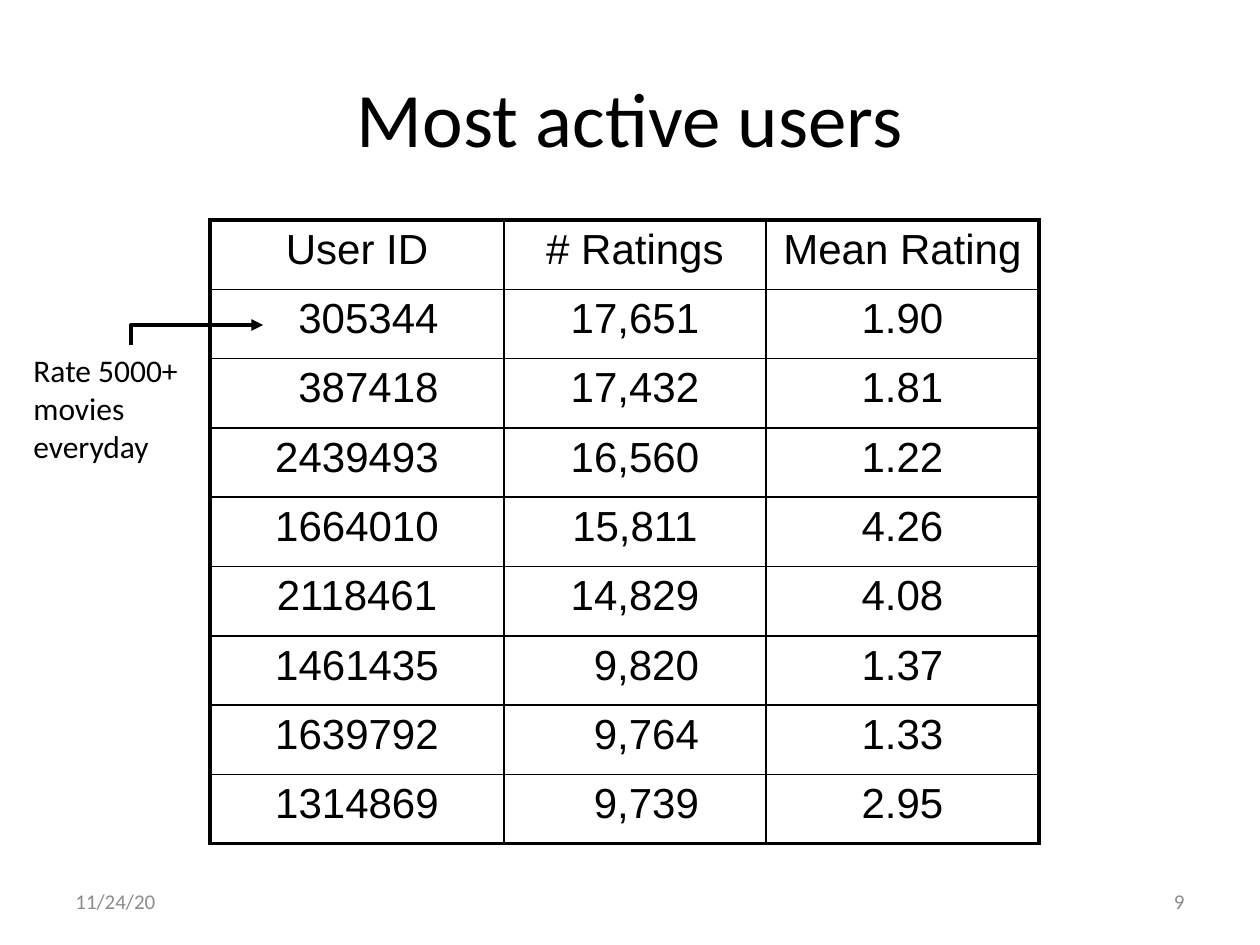
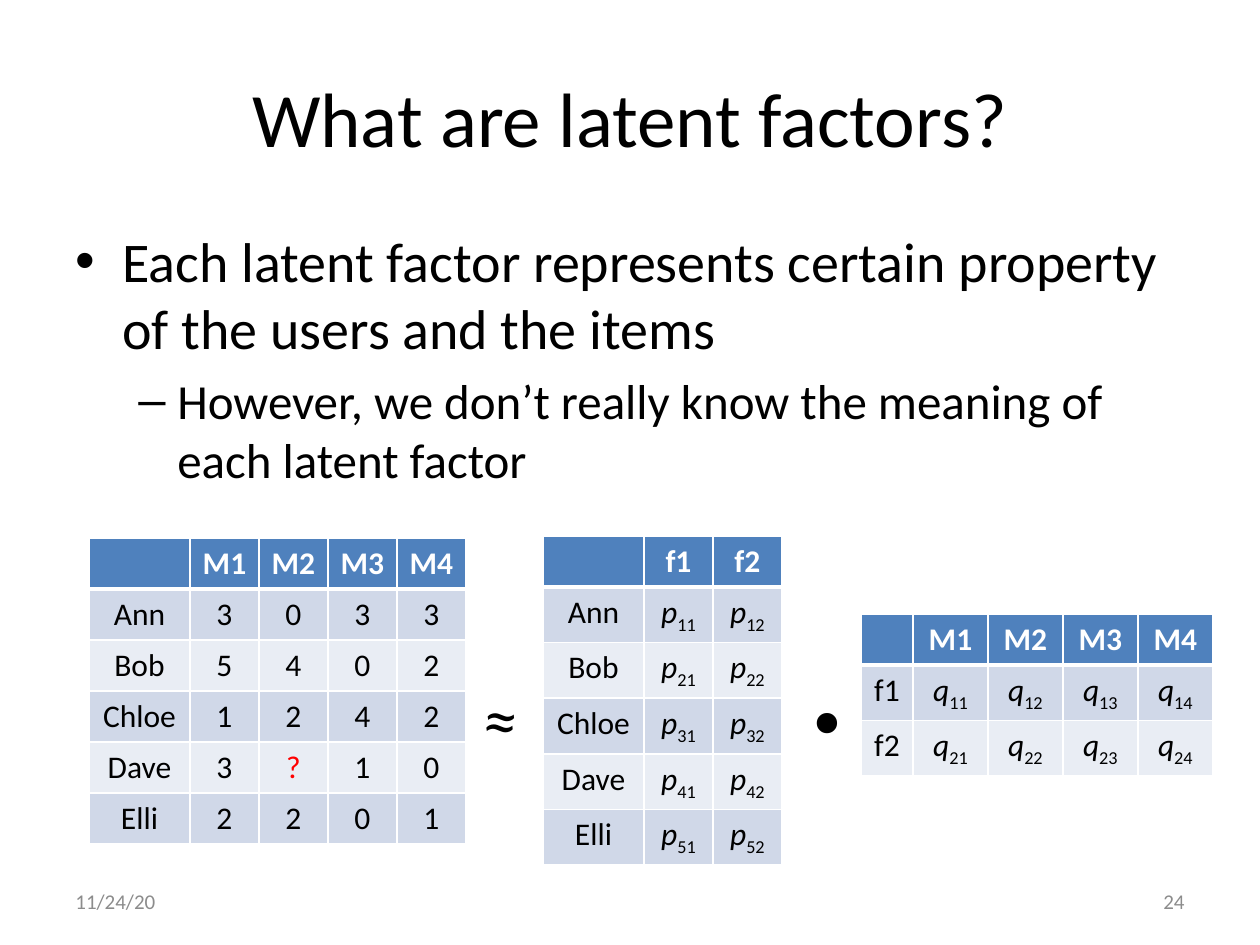
"""Build two slides on rating data: the most active users and latent factors."""
import pptx
import pptx.dml.color
import pptx.enum.shapes
import pptx.enum.text
import pptx.oxml
import pptx.oxml.ns
import pptx.util

EMU_PER_PX = 914400 / 126
COLORS = {"black": "000000", "white": "FFFFFF", "grey": "8C8C8C", "red": "FF0000",
          "header": "4F81BD", "odd": "D0D8E8", "even": "E9EDF4"}
ALIGN = pptx.enum.text.PP_ALIGN
ANCHOR = pptx.enum.text.MSO_ANCHOR
DATE = "11/24/20"
DIGIT_PX = 23

ACTIVE_USERS = [
    ("User ID", "# Ratings", "Mean Rating"),
    ("305344", "17,651", "1.90"),
    ("387418", "17,432", "1.81"),
    ("2439493", "16,560", "1.22"),
    ("1664010", "15,811", "4.26"),
    ("2118461", "14,829", "4.08"),
    ("1461435", "9,820", "1.37"),
    ("1639792", "9,764", "1.33"),
    ("1314869", "9,739", "2.95"),
]
RATINGS = {"Ann": "3033", "Bob": "5402", "Chloe": "1242", "Dave": "3?10", "Elli": "2201"}
MOVIES = ["M1", "M2", "M3", "M4"]
FACTORS = ["f1", "f2"]
BULLETS = [
    (0, "•", "Each latent factor represents certain property of the users and the items", 32, 47, 47),
    (1, "–", "However, we don’t really know the meaning of each latent factor", 28, 102, 39),
]


def symbols(letter, row, count):
    return [f"{letter}_{row}{column}" for column in range(1, count + 1)]


RATING_ROWS = [["", *MOVIES]] + [[user, *scores] for user, scores in RATINGS.items()]
USER_ROWS = [["", *FACTORS]] + [[user, *symbols("p", row, len(FACTORS))]
                                for row, user in enumerate(RATINGS, 1)]
ITEM_ROWS = [["", *MOVIES]] + [[factor, *symbols("q", row, len(MOVIES))]
                               for row, factor in enumerate(FACTORS, 1)]
MATRICES = [
    (RATING_ROWS, 89, 538, 306, [101, 69, 69, 69, 69]),
    (USER_ROWS, 543, 536, 306, [101, 69, 69]),
    (ITEM_ROWS, 861, 614, 153, [52, 75, 75, 75, 75]),
]
OPERATORS = [("≈", 470, 669, 60, 97), ("∙", 793, 669, 43, 97)]


def px(length):
    return pptx.util.Emu(round(length * EMU_PER_PX))


def rgb(color):
    return pptx.dml.color.RGBColor.from_string(COLORS[color])


def style_font(font, size, color="black", name="Calibri", bold=False, italic=False):
    font.name, font.size = name, pptx.util.Pt(size)
    font.bold, font.italic = bold, italic
    font.color.rgb = rgb(color)


def add_text(slide, text, box, size, color="black", align=ALIGN.LEFT, anchor=ANCHOR.TOP,
             wrap=True, italic=False):
    shape = slide.shapes.add_textbox(*map(px, box))
    frame = shape.text_frame
    frame.word_wrap, frame.vertical_anchor = wrap, anchor
    if not wrap:
        frame.auto_size = pptx.enum.text.MSO_AUTO_SIZE.SHAPE_TO_FIT_TEXT
    paragraph = frame.paragraphs[0]
    paragraph.text, paragraph.alignment = text, align
    style_font(paragraph.runs[0].font, size, color, italic=italic)


def add_base_slide(presentation, title, number):
    slide = presentation.slides.add_slide(presentation.slide_layouts[6])
    add_text(slide, title, (63, 38, 1134, 157), 44, align=ALIGN.CENTER, anchor=ANCHOR.MIDDLE)
    for text, left, align in ((DATE, 63, ALIGN.LEFT), (number, 903, ALIGN.RIGHT)):
        add_text(slide, text, (left, 876, 294, 50), 12, "grey", align, ANCHOR.MIDDLE)
    return slide


def add_grid(slide, rows, left, top, height, widths):
    frame = slide.shapes.add_table(len(rows), len(widths), px(left), px(top),
                                   px(sum(widths)), px(height))
    for column, width in zip(frame.table.columns, widths):
        column.width = px(width)
    return frame.table


def set_borders(cell, color, widths):
    properties = cell._tc.get_or_add_tcPr()
    for side, width in zip("LRTB", widths):
        properties.append(pptx.oxml.parse_xml(
            f'<a:ln{side} {pptx.oxml.ns.nsdecls("a")} w="{pptx.util.Pt(width)}">'
            f'<a:solidFill><a:srgbClr val="{COLORS[color]}"/></a:solidFill></a:ln{side}>'))


def add_users_table(slide):
    table = add_grid(slide, ACTIVE_USERS, 210, 220, 624, [294, 262, 273])
    table.first_row = table.horz_banding = False
    last_row, last_column = len(ACTIVE_USERS) - 1, len(ACTIVE_USERS[0]) - 1
    digits = [max(map(len, column[1:])) for column in zip(*ACTIVE_USERS)]
    for row, values in enumerate(ACTIVE_USERS):
        for column, value in enumerate(values):
            cell = table.cell(row, column)
            outer = (column == 0, column == last_column, row == 0, row == last_row)
            set_borders(cell, "black", [2.25 if edge else 1 for edge in outer])
            cell.fill.background()
            if row and len(value) < digits[column]:
                cell.margin_left += px(DIGIT_PX)
            paragraph = cell.text_frame.paragraphs[0]
            paragraph.text, paragraph.alignment = value, ALIGN.CENTER
            style_font(paragraph.runs[0].font, 24, name="Arial")


def fill_matrix_cell(cell, value, header):
    paragraph = cell.text_frame.paragraphs[0]
    paragraph.alignment = ALIGN.CENTER
    base, _, subscript = value.partition("_")
    color = "white" if header else "red" if value == "?" else "black"
    for text in filter(None, (base, subscript)):
        run = paragraph.add_run()
        run.text = text
        is_symbol = bool(subscript) and text == base
        style_font(run.font, 18, color, bold=header, italic=is_symbol)
        if text == subscript:
            run._r.get_or_add_rPr().set("baseline", "-25000")


def add_matrix(slide, rows, *place):
    table = add_grid(slide, rows, *place)
    for row, values in enumerate(rows):
        fill = "header" if row == 0 else "odd" if row % 2 else "even"
        for column, value in enumerate(values):
            cell = table.cell(row, column)
            set_borders(cell, "white", (1, 1, 3 if row == 1 else 1, 3 if row == 0 else 1))
            cell.fill.solid()
            cell.fill.fore_color.rgb = rgb(fill)
            fill_matrix_cell(cell, value, row == 0)


def add_note_arrow(slide, start_x, start_y, end_x, end_y):
    center_x, center_y = (start_x + end_x) / 2, (start_y + end_y) / 2
    half_width, half_height = (start_y - end_y) / 2, (end_x - start_x) / 2
    arrow = slide.shapes.add_connector(
        pptx.enum.shapes.MSO_CONNECTOR.ELBOW,
        px(center_x + half_width), px(center_y + half_height),
        px(center_x - half_width), px(center_y - half_height))
    arrow.line.color.rgb = rgb("black")
    arrow.line.width = pptx.util.Pt(2.25)
    properties = arrow._element.spPr
    properties.xfrm.set("rot", "5400000")
    properties.find(pptx.oxml.ns.qn("a:prstGeom")).set("prst", "bentConnector2")
    namespace = pptx.oxml.ns.nsdecls("a")
    arrow.line._get_or_add_ln().append(
        pptx.oxml.parse_xml(f'<a:tailEnd {namespace} type="triangle"/>'))
    properties.append(pptx.oxml.parse_xml(f"<a:effectLst {namespace}/>"))


def add_bullets(slide):
    frame = slide.shapes.add_textbox(*map(px, (63, 220, 1134, 624))).text_frame
    frame.word_wrap = True
    for index, (level, mark, text, size, margin, hanging) in enumerate(BULLETS):
        paragraph = frame.add_paragraph() if index else frame.paragraphs[0]
        paragraph.text, paragraph.level = text, level
        if index:
            paragraph.space_before = pptx.util.Pt(size * 0.2)
        properties = paragraph._p.get_or_add_pPr()
        properties.set("marL", str(px(margin)))
        properties.set("indent", str(-px(hanging)))
        for tag in (f'buFont {pptx.oxml.ns.nsdecls("a")} typeface="Arial"',
                    f'buChar {pptx.oxml.ns.nsdecls("a")} char="{mark}"'):
            properties.append(pptx.oxml.parse_xml(f"<a:{tag}/>"))
        style_font(paragraph.runs[0].font, size)


def main():
    presentation = pptx.Presentation()
    presentation.slide_width, presentation.slide_height = px(1260), px(945)

    users_slide = add_base_slide(presentation, "Most active users", "9")
    add_users_table(users_slide)
    add_text(users_slide, "Rate 5000+ movies everyday", (21, 345, 220, 127), 18)
    add_note_arrow(users_slide, 131, 345, 263, 325)

    factors_slide = add_base_slide(presentation, "What are latent factors?", "24")
    add_bullets(factors_slide)
    for matrix in MATRICES:
        add_matrix(factors_slide, *matrix)
    for sign, *box in OPERATORS:
        add_text(factors_slide, sign, box, 40, wrap=False, italic=True)

    presentation.save("out.pptx")


if __name__ == "__main__":
    main()
